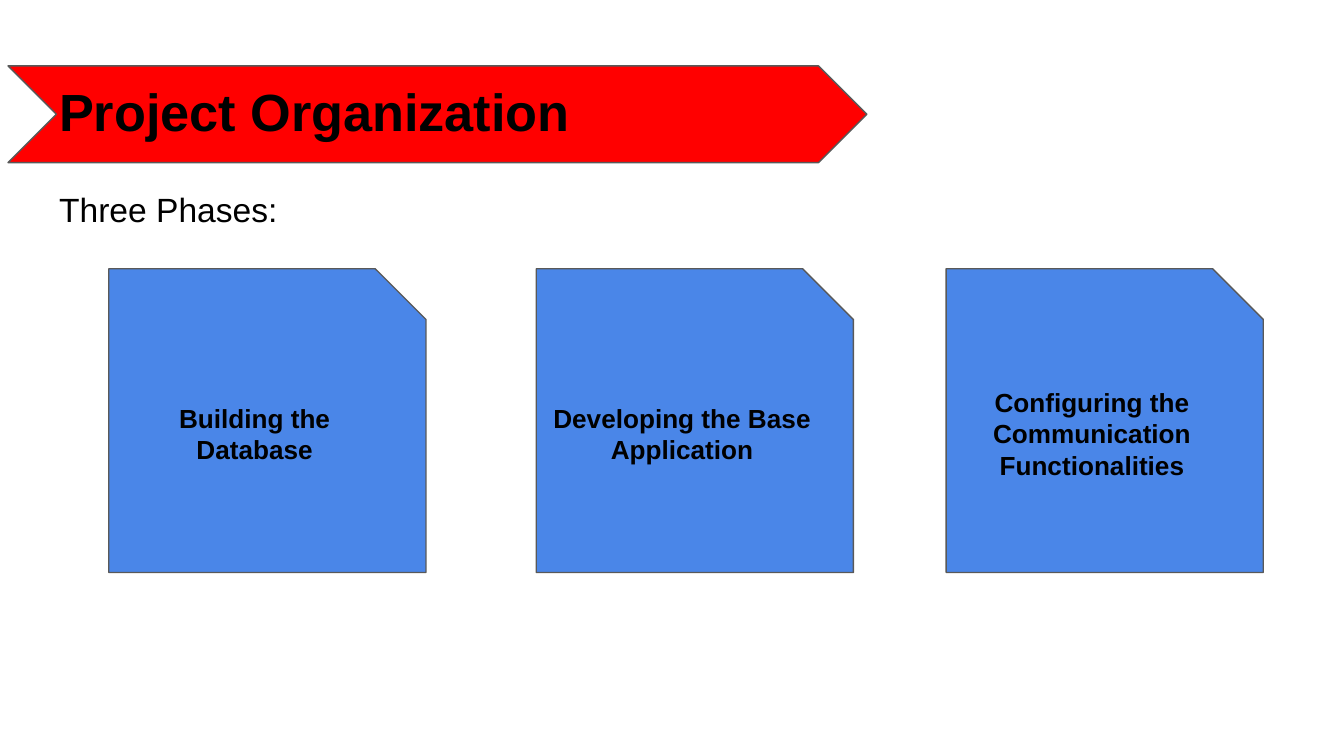
from pptx import Presentation
from pptx.dml.color import RGBColor
from pptx.enum import shapes, text
from pptx.oxml import xmlchemy
from pptx.util import Inches, Pt

HUES = {"red": "FF0000", "blue": "4A86E8", "line": "595959", "ink": "000000"}
PHASES = [
    (0.81, "Building the Database"),
    (3.99, "Developing the Base Application"),
    (7.04, "Configuring the Communication Functionalities"),
]


def hue(name):
    return RGBColor.from_string(HUES[name])


def write(shape, words, size, bold, align, anchor):
    frame = shape.text_frame
    frame.word_wrap = True
    frame.auto_size = text.MSO_AUTO_SIZE.NONE
    frame.vertical_anchor = anchor
    frame.margin_left = frame.margin_right = Inches(0.1)
    frame.margin_top = frame.margin_bottom = Inches(0.1)
    para = frame.paragraphs[0]
    para.alignment = align
    para.space_before = Pt(0)
    run = para.add_run()
    run.text = words
    run.font.name = "Arial"
    run.font.size = Pt(size)
    run.font.bold = bold
    run.font.color.rgb = hue("ink")
    return para


def place(holder, top, height):
    holder.left, holder.top = Inches(0.34), Inches(top)
    holder.width, holder.height = Inches(9.32), Inches(height)


def add_form(slide, kind, box, fill, bend):
    form = slide.shapes.add_shape(kind, *map(Inches, box))
    form.adjustments[0] = bend
    form.shadow.inherit = False
    form.fill.solid()
    form.fill.fore_color.rgb = hue(fill)
    form.line.color.rgb = hue("line")
    form.line.width = Pt(0.75)
    return form


def add_banner(slide):
    kind = shapes.MSO_SHAPE.CHEVRON
    banner = add_form(slide, kind, (0.06, 0.49, 6.39, 0.72), "red", 0.5)
    slide.shapes.title._element.addprevious(banner._element)


def add_title(slide):
    title = slide.shapes.title
    place(title, 0.49, 0.63)
    write(title, "Project Organization", 28, True,
          text.PP_ALIGN.LEFT, text.MSO_ANCHOR.TOP)


def add_body(slide):
    body = slide.placeholders[1]
    place(body, 1.26, 3.74)
    para = write(body, "Three Phases:", 18, False,
                 text.PP_ALIGN.LEFT, text.MSO_ANCHOR.TOP)
    para.line_spacing = 1.15
    para.space_after = Pt(16)
    props = para._p.get_or_add_pPr()
    props.set("marL", "0")
    props.set("indent", "0")
    props.append(xmlchemy.OxmlElement("a:buNone"))


def add_phase(slide, left, words):
    kind = shapes.MSO_SHAPE.SNIP_1_RECTANGLE
    card = add_form(slide, kind, (left, 2, 2.36, 2.26), "blue", 0.167)
    write(card, words, 14, True,
          text.PP_ALIGN.CENTER, text.MSO_ANCHOR.MIDDLE)


def main():
    deck = Presentation()
    deck.slide_width = Inches(10)
    deck.slide_height = Inches(10 * 9 / 16)
    slide = deck.slides.add_slide(deck.slide_layouts[1])
    add_banner(slide)
    add_title(slide)
    add_body(slide)
    for left, words in PHASES:
        add_phase(slide, left, words)
    deck.save("out.pptx")


if __name__ == "__main__":
    main()
